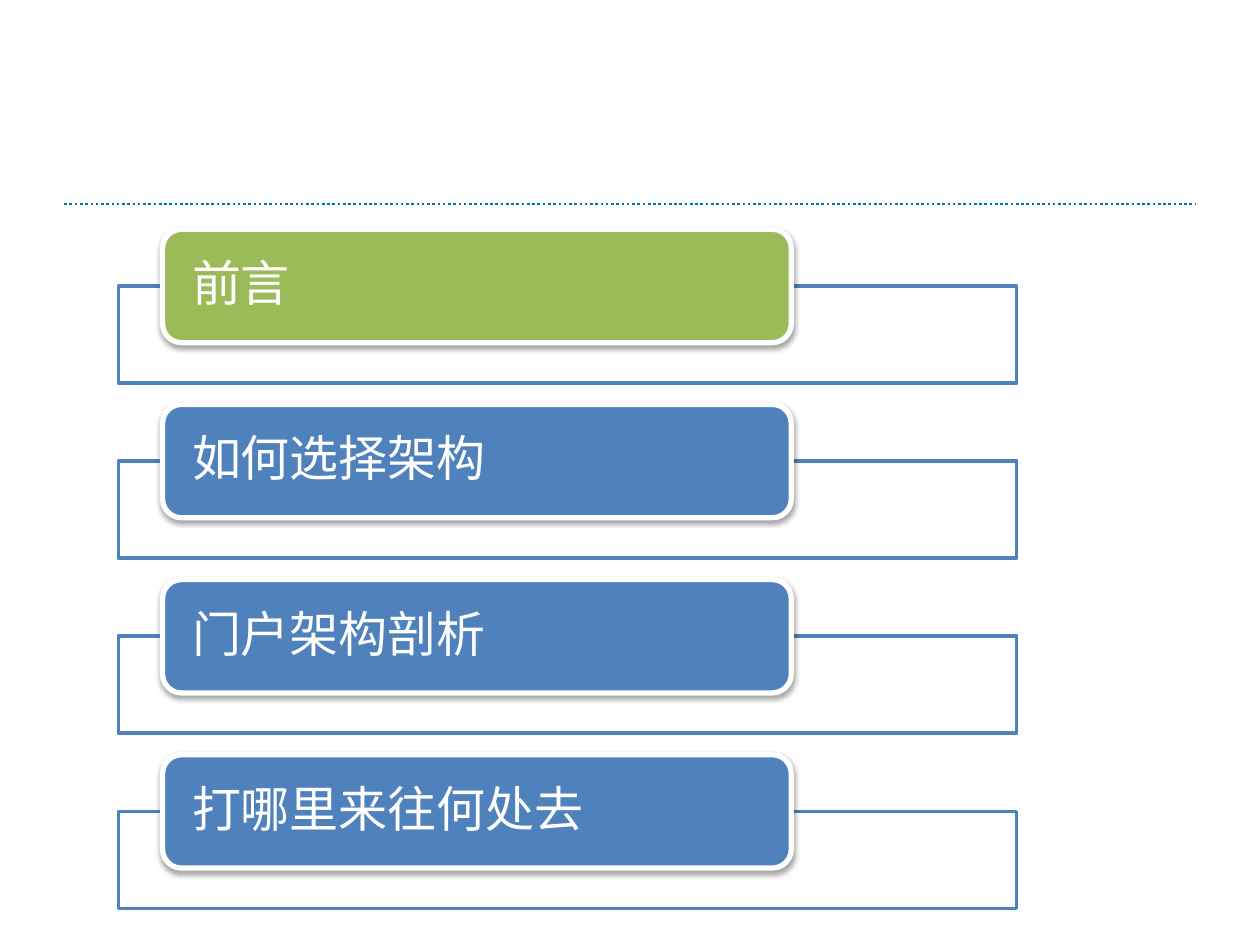
from dataclasses import dataclass

from lxml.etree import SubElement
from pptx import Presentation
from pptx.dml.color import RGBColor
from pptx.enum.dml import MSO_LINE
from pptx.enum.shapes import MSO_CONNECTOR, MSO_SHAPE
from pptx.enum.text import MSO_ANCHOR, PP_ALIGN
from pptx.oxml.ns import qn
from pptx.util import Inches, Pt

BLUE, GREEN, WHITE = "4F81BD", "9BBB59", "FFFFFF"
TOP, PITCH = 1.82, 1.39


@dataclass
class AgendaItem:
    text: str
    color: str = BLUE


ITEMS = [
    AgendaItem("前言", GREEN),
    AgendaItem("如何选择架构"),
    AgendaItem("门户架构剖析"),
    AgendaItem("打哪里来往何处去"),
]


def rgb(value: str) -> RGBColor:
    return RGBColor.from_string(value)


def add_box(s, kind, left: float, top: float, width: float, height: float,
            fill: str, line: str, weight: float):
    sp = s.shapes.add_shape(kind, Inches(left), Inches(top), Inches(width), Inches(height))
    sp.shadow.inherit = False
    sp.fill.solid()
    sp.fill.fore_color.rgb = rgb(fill)
    sp.line.color.rgb = rgb(line)
    sp.line.width = Pt(weight)
    return sp


def add_alpha(color, percent: int) -> None:
    SubElement(color, qn("a:alpha"), val=str(percent * 1000))


def add_shadow(sp) -> None:
    effects = sp._element.spPr.find(qn("a:effectLst"))
    shadow = SubElement(effects, qn("a:outerShdw"), blurRad=str(Pt(3)),
                        dist=str(Pt(1.8)), dir="5400000", rotWithShape="0")
    add_alpha(SubElement(shadow, qn("a:srgbClr"), val="000000"), 35)


def add_item(s, item: AgendaItem, top: float) -> None:
    # Outlined frame behind the label
    frame = add_box(s, MSO_SHAPE.RECTANGLE, 0.94, top + 0.45, 7.13, 0.77, WHITE, BLUE, 2)
    add_alpha(frame._element.spPr.find(qn("a:solidFill"))[0], 90)

    # Rounded label with its text
    label = add_box(s, MSO_SHAPE.ROUNDED_RECTANGLE, 1.29, top, 4.99, 0.9, item.color, WHITE, 3)
    add_shadow(label)
    tf = label.text_frame
    tf.word_wrap = True
    tf.vertical_anchor = MSO_ANCHOR.MIDDLE
    tf.margin_left = tf.margin_right = Inches(0.19)
    tf.margin_top = tf.margin_bottom = 0
    p = tf.paragraphs[0]
    p.alignment = PP_ALIGN.LEFT
    p.line_spacing = 0.9
    r = p.add_run()
    r.text = item.text
    r.font.name = "Arial"
    r.font.size = Pt(28)
    r.font.color.rgb = rgb(WHITE)


def add_divider(s) -> None:
    line = s.shapes.add_connector(MSO_CONNECTOR.STRAIGHT, Inches(0.51), Inches(1.62),
                                  Inches(9.49), Inches(1.62))
    line.line.color.rgb = rgb("0070C0")
    line.line.width = Pt(1.5)
    line.line.dash_style = MSO_LINE.ROUND_DOT
    SubElement(line._element.spPr, qn("a:effectLst"))


def main() -> None:
    prs = Presentation()
    prs.slide_width, prs.slide_height = Inches(10), Inches(7.5)
    s = prs.slides.add_slide(prs.slide_layouts[6])
    add_divider(s)
    for i, item in enumerate(ITEMS):
        add_item(s, item, TOP + i * PITCH)
    prs.save("out.pptx")


if __name__ == "__main__":
    main()
